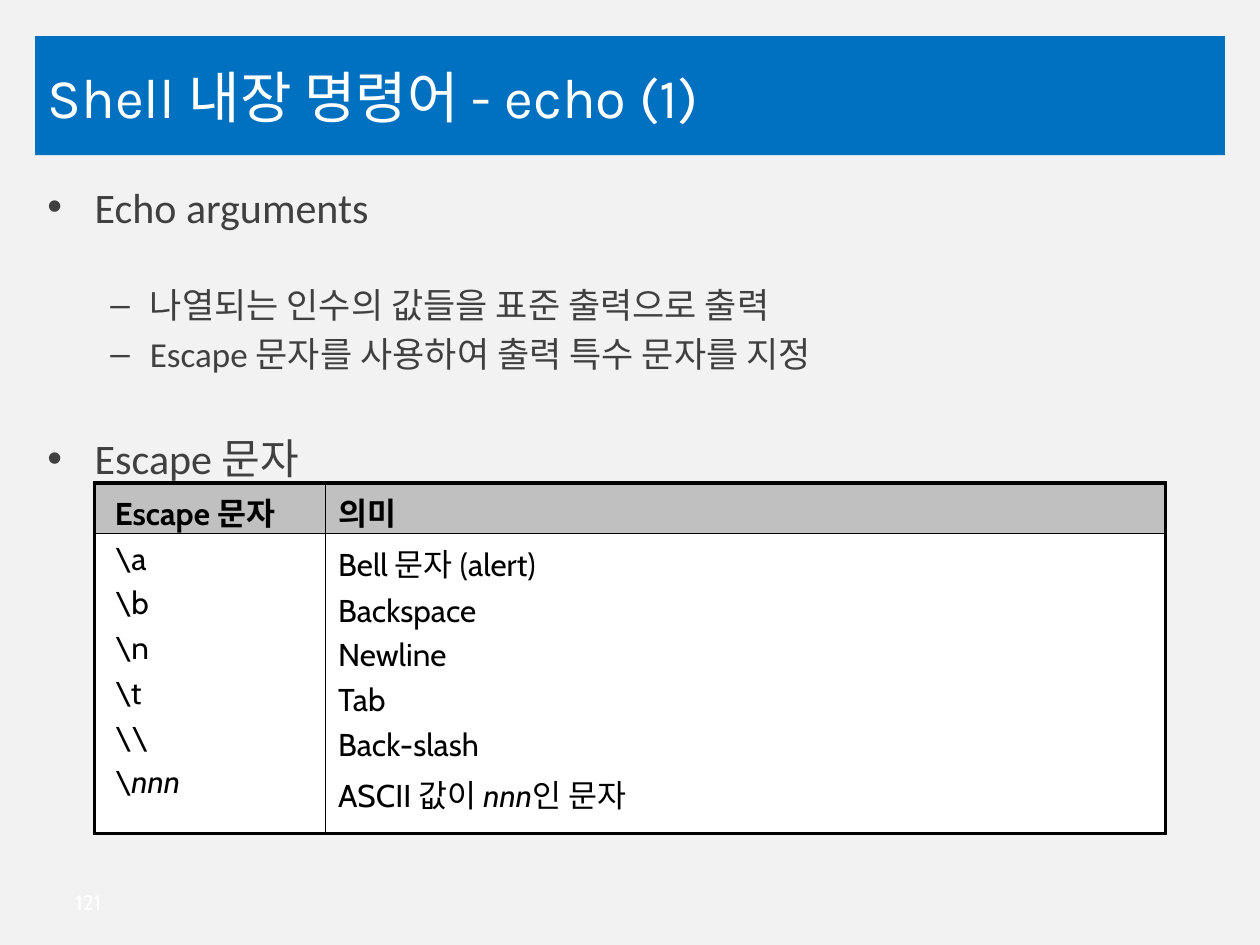
from pptx import Presentation
from pptx.dml.color import RGBColor
from pptx.enum.shapes import MSO_SHAPE
from pptx.enum.text import MSO_ANCHOR, PP_ALIGN
from pptx.oxml.ns import qn
from pptx.util import Pt
from lxml.etree import SubElement, Element


def color(value):
    return RGBColor.from_string(value)


def set_font(para, name, size, value):
    para.font.name = name
    para.font.size = Pt(size)
    para.font.color.rgb = color(value)


deck = Presentation()
deck.slide_width, deck.slide_height = Pt(720), Pt(540)
page = deck.slides.add_slide(deck.slide_layouts[6])
page.background.fill.solid()
page.background.fill.fore_color.rgb = color("F2F2F2")

title = page.shapes.add_shape(MSO_SHAPE.RECTANGLE, Pt(20), Pt(20.7), Pt(680), Pt(68))
title.shadow.inherit = False
title.fill.solid()
title.fill.fore_color.rgb = color("0070C0")
title.line.fill.background()
title.text_frame.vertical_anchor = MSO_ANCHOR.MIDDLE
para = title.text_frame.paragraphs[0]
para.text = "Shell 내장 명령어 - echo (1)"
para.alignment = PP_ALIGN.LEFT
set_font(para, "Karla", 32, "FFFFFF")

body = page.shapes.add_textbox(Pt(20), Pt(100), Pt(680), Pt(380))
body.text_frame.word_wrap = True
bullets = [
    ("Echo arguments", "•", 24, 27, 27, 0),
    ("나열되는 인수의 값들을 표준 출력으로 출력", "–", 20, 58.5, 22.5, 29.6),
    ("Escape 문자를 사용하여 출력 특수 문자를 지정", "–", 20, 58.5, 22.5, 4),
    ("Escape 문자", "•", 24, 27, 27, 33.2),
]
for index, (text, mark, size, margin, hanging, gap) in enumerate(bullets):
    para = body.text_frame.add_paragraph() if index else body.text_frame.paragraphs[0]
    para.text = text
    properties = para._p.get_or_add_pPr()
    properties.set("marL", str(Pt(margin)))
    properties.set("indent", str(-Pt(hanging)))
    SubElement(properties, qn("a:buFont"), typeface="Arial")
    SubElement(properties, qn("a:buChar"), char=mark)
    para.space_before = Pt(gap)
    set_font(para, "Calibri", size, "404040")

rows = [
    [["Escape 문자"], ["의미"]],
    [
        ["\\a", "\\b", "\\n", "\\t", "\\\\", "\\nnn"],
        ["Bell 문자 (alert)", "Backspace", "Newline", "Tab", "Back-slash", "ASCII 값이 nnn인 문자"],
    ],
]
table = page.shapes.add_table(2, 2, Pt(54), Pt(276), Pt(612), Pt(200.2)).table
table.first_row = False
table.horz_banding = False
for column, width in zip(table.columns, (132, 480)):
    column.width = Pt(width)
for row, height in zip(table.rows, (28.8, 171.4)):
    row.height = Pt(height)

for row_index, row in enumerate(rows):
    for column_index, lines in enumerate(row):
        cell = table.cell(row_index, column_index)
        cell.margin_left = Pt(7.2 if column_index else 11.6)
        cell.fill.solid()
        cell.fill.fore_color.rgb = color("FFFFFF" if row_index else "C0C0C0")
        for index, text in enumerate(lines):
            para = cell.text_frame.add_paragraph() if index else cell.text_frame.paragraphs[0]
            before, italic, after = text.partition("nnn")
            for part in filter(None, (before, italic, after)):
                span = para.add_run()
                span.text = part
                if part == "nnn":
                    span.font.italic = True
            para.space_before = Pt(3.6 if index else 0)
            set_font(para, "Cabin", 18, "000000")
            para.font.bold = row_index == 0
        outer_sides = {
            "a:lnL": column_index == 0,
            "a:lnR": column_index == 1,
            "a:lnT": row_index == 0,
            "a:lnB": row_index == 1,
        }
        for position, (side, outer) in enumerate(outer_sides.items()):
            border = Element(qn(side), w=str(Pt(2.25 if outer else 1)))
            SubElement(SubElement(border, qn("a:solidFill")), qn("a:srgbClr"), val="000000")
            cell._tc.get_or_add_tcPr().insert(position, border)

number = page.shapes.add_textbox(Pt(36), Pt(504), Pt(60), Pt(23))
number.text_frame.vertical_anchor = MSO_ANCHOR.MIDDLE
number.text_frame.word_wrap = True
para = number.text_frame.paragraphs[0]
para.text = "121"
set_font(para, "Cabin", 12, "FFFFFF")

deck.save("out.pptx")
